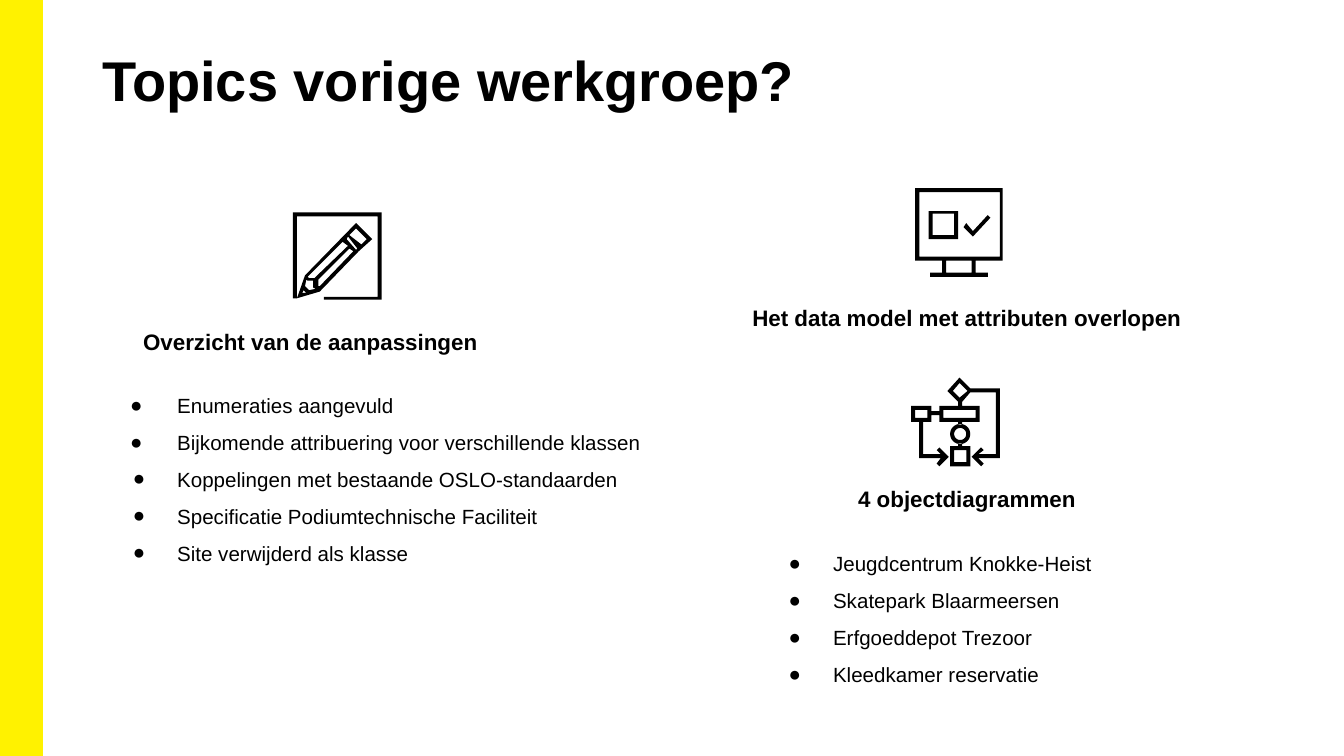
from math import cos, pi, sin

from lxml.etree import SubElement
from pptx import Presentation
from pptx.dml.color import RGBColor
from pptx.enum.shapes import MSO_SHAPE as Shape
from pptx.enum.text import PP_ALIGN as Align
from pptx.oxml.ns import qn
from pptx.util import Pt

PX = 9144  # EMU: 100 px to the inch
SLIDE_WIDTH = 1000 * PX
SLIDE_HEIGHT = SLIDE_WIDTH * 9 // 16
FONT = "Arial"
COLORS = {"accent": "FFF200", "ink": "000000"}

CHANGES = [
    ("Enumeraties aangevuld", 35),
    ("Bijkomende attribuering voor verschillende klassen", 35),
    ("Koppelingen met bestaande OSLO-standaarden", 33),
    ("Specificatie Podiumtechnische Faciliteit", 33),
    ("Site verwijderd als klasse", 33),
]
DIAGRAMS = [
    ("Jeugdcentrum Knokke-Heist", 33),
    ("Skatepark Blaarmeersen", 33),
    ("Erfgoeddepot Trezoor", 33),
    ("Kleedkamer reservatie", 33),
]


def color(name):
    return RGBColor.from_string(COLORS[name])


def add_side_bar(slide, width):
    bar = slide.shapes.add_shape(
        Shape.RECTANGLE, 0, 0, width * PX, SLIDE_HEIGHT)
    bar.shadow.inherit = False
    bar.fill.solid()
    bar.fill.fore_color.rgb = color("accent")
    bar.line.color.rgb = color("accent")
    bar.line.width = Pt(1)


def add_text_frame(slide, box, inset_x, inset_y):
    left, top, width, height = (length * PX for length in box)
    frame = slide.shapes.add_textbox(left, top, width, height).text_frame
    frame.word_wrap = True
    frame.margin_left = frame.margin_right = inset_x * PX
    frame.margin_top = frame.margin_bottom = inset_y * PX
    return frame


def add_run(paragraph, text, size, bold=False):
    run = paragraph.add_run()
    run.text = text
    run.font.name = FONT
    run.font.size = Pt(size)
    run.font.bold = bold
    run.font.color.rgb = color("ink")


def add_title(slide, text, box):
    frame = add_text_frame(slide, box, 7, 4)
    add_run(frame.paragraphs[0], text, 30, bold=True)


def add_label(slide, text, box):
    paragraph = add_text_frame(slide, box, 0, 0).paragraphs[0]
    paragraph.alignment = Align.CENTER
    add_run(paragraph, text, 12, bold=True)


def set_bullet(paragraph, hanging):
    properties = paragraph._p.get_or_add_pPr()
    properties.set("marL", str(50 * PX))
    properties.set("indent", str(-hanging * PX))
    bullet_color = SubElement(properties, qn("a:buClr"))
    SubElement(bullet_color, qn("a:srgbClr"), val=COLORS["ink"])
    SubElement(properties, qn("a:buFont"), typeface=FONT)
    SubElement(properties, qn("a:buChar"), char="●")


def add_bullets(slide, items, box):
    """Add a bulleted list of (text, hanging indent) items."""
    frame = add_text_frame(slide, box, 10, 10)
    for index, (text, hanging) in enumerate(items):
        paragraph = frame.add_paragraph() if index else frame.paragraphs[0]
        set_bullet(paragraph, hanging)
        paragraph.line_spacing = 1.5
        add_run(paragraph, text, 11)


def rectangle(left, top, right, bottom):
    return [(left, top), (right, top), (right, bottom), (left, bottom)]


def circle(x, y, radius, steps=32):
    angles = [2 * pi * step / steps for step in range(steps)]
    return [(x + radius * cos(a), y + radius * sin(a)) for a in angles]


def add_icon(slide, contours):
    """Draw contours as one black outline; inner contours become holes."""
    builder = None
    for contour in contours:
        (x, y), *rest = [(round(x * PX), round(y * PX)) for x, y in contour]
        if builder is None:
            builder = slide.shapes.build_freeform(x, y)
        else:
            builder.move_to(x, y)
        builder.add_line_segments(rest, close=True)
    icon = builder.convert_to_shape()
    icon.shadow.inherit = False
    icon.fill.solid()
    icon.fill.fore_color.rgb = color("ink")
    icon.line.fill.background()


def add_pencil_icon(slide):
    add_icon(slide, [
        [(267, 187), (277, 178), (265, 166), (227, 205), (221, 222), (238, 217)],
        [(263, 172), (265, 170), (273, 178), (269, 182), (260, 175)],
        [(255, 180), (259, 183), (234, 207), (230, 207), (229, 206)],
        [(225, 218), (226, 216), (228, 218)],
        [(230, 216), (227, 213), (228, 208), (229, 209), (233, 209), (233, 214),
         (235, 215)],
        [(238, 213), (237, 213), (237, 208), (260, 185), (263, 187)],
        [(265, 186), (258, 178), (259, 176), (266, 185)],
    ])
    add_icon(slide, [
        [(284, 158), (218, 158), (218, 222), (221, 222), (221, 161), (281, 161),
         (281, 221), (241, 221), (241, 223), (284, 223)],
    ])


def add_monitor_icon(slide):
    add_icon(slide, [
        [(746, 194), (746, 140), (681, 140), (681, 194), (701, 194), (701, 203),
         (692, 203), (692, 206), (735, 206), (735, 203), (726, 203), (726, 194)],
        rectangle(684, 143, 744, 191),
        rectangle(704, 194, 723, 203),
    ])
    add_icon(slide, [
        rectangle(691, 157, 713, 178),
        rectangle(694, 159, 710, 175),
        [(724, 176), (717, 169), (719, 166), (724, 172), (735, 160), (737, 162)],
    ])


def add_flowchart_icon(slide):
    connected_nodes = [
        (744, 289), (722, 289), (714, 281), (705, 291), (713, 299), (713, 302),
        (699, 302), (699, 306), (693, 306), (693, 302), (678, 302), (678, 314),
        (684, 314), (684, 341), (700, 341), (697, 345), (699, 347), (706, 340),
        (699, 333), (697, 335), (700, 338), (687, 338), (687, 314), (693, 314),
        (693, 309), (699, 309), (699, 314), (713, 314), (713, 316), (716, 316),
        (716, 314), (729, 314), (729, 302), (716, 302), (716, 299), (722, 292),
        (741, 292), (741, 338), (728, 338), (732, 335), (730, 333), (723, 340),
        (730, 347), (732, 345), (728, 341), (744, 341)]
    add_icon(slide, [
        connected_nodes,
        [(714, 296), (709, 291), (714, 285), (720, 291)],
        rectangle(702, 305, 726, 311),
        rectangle(681, 305, 690, 311),
        circle(714.5, 323, 7.5),
        circle(714.5, 323, 4.5),
        [(707, 332), (713, 332), (713, 330), (716, 330), (716, 332), (722, 332),
         (722, 347), (707, 347)],
        rectangle(710, 335, 719, 344),
    ])


def main():
    presentation = Presentation()
    presentation.slide_width = SLIDE_WIDTH
    presentation.slide_height = SLIDE_HEIGHT
    slide = presentation.slides.add_slide(presentation.slide_layouts[6])

    add_side_bar(slide, 31)
    add_title(slide, "Topics vorige werkgroep?", (69, 30, 869, 81))

    add_label(slide, "Overzicht van de aanpassingen", (67, 244, 328, 26))
    add_label(slide, "4 objectdiagrammen", (560, 361, 319, 26))
    add_bullets(slide, DIAGRAMS, (560, 391, 315, 168))
    add_label(slide, "Het data model met attributen overlopen", (558, 226, 323, 26))
    add_bullets(slide, CHANGES, (72, 273, 420, 165))

    add_flowchart_icon(slide)
    add_monitor_icon(slide)
    add_pencil_icon(slide)

    presentation.save("out.pptx")


if __name__ == "__main__":
    main()
